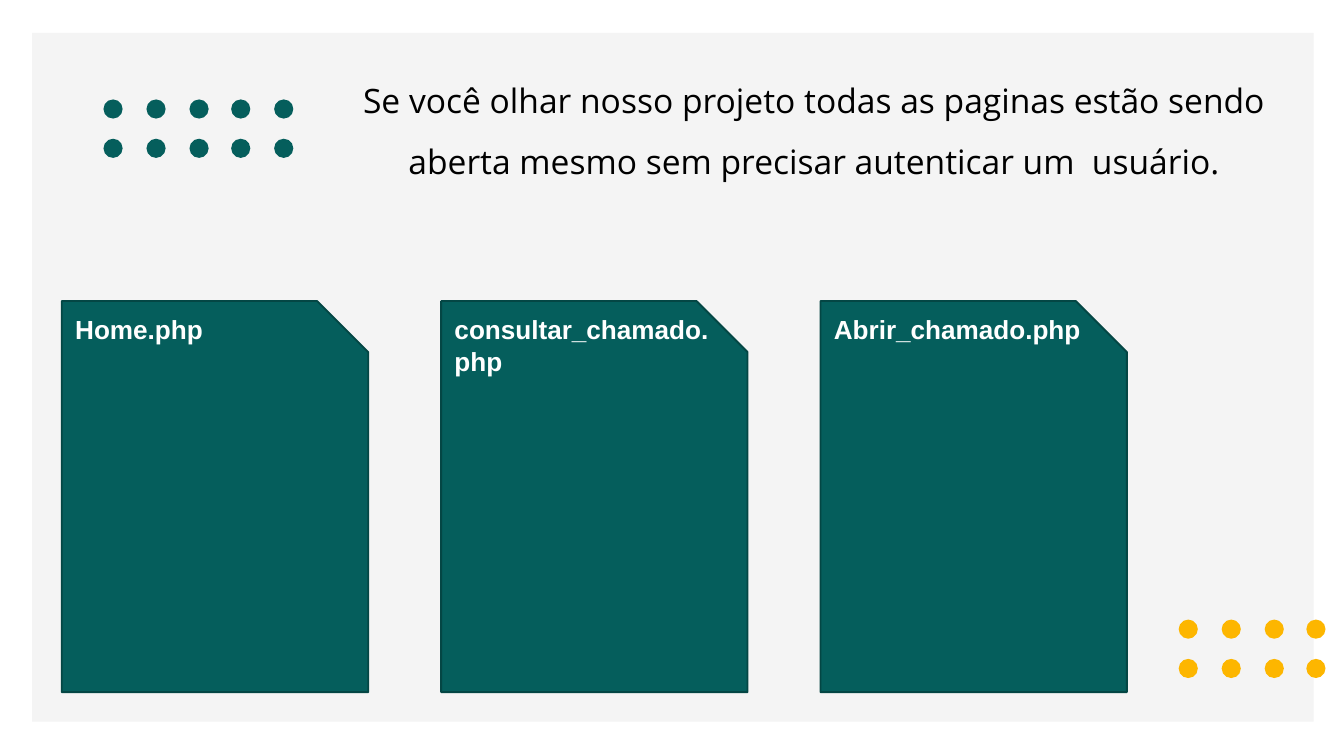
"""Builds the slide listing the PHP pages that open without authentication."""
from pptx import Presentation
from pptx.dml.color import RGBColor
from pptx.enum.shapes import MSO_SHAPE
from pptx.enum.text import PP_ALIGN
from pptx.util import Inches, Pt

RECTANGLE = MSO_SHAPE.RECTANGLE
OVAL = MSO_SHAPE.OVAL
SNIPPED = MSO_SHAPE.SNIP_1_RECTANGLE
LEFT, CENTER = PP_ALIGN.LEFT, PP_ALIGN.CENTER

MESSAGE = ("Se você olhar nosso projeto todas as paginas estão sendo aberta "
           "mesmo sem precisar autenticar um  usuário.")
PAGES = [["Home.php"], ["consultar_chamado.", "php"], ["Abrir_chamado.php"]]
COLORS = {"panel": "F4F4F4", "teal": "055E5C", "edge": "044644",
          "amber": "FDB600", "black": "000000", "white": "FFFFFF"}

SLIDE_W, SLIDE_H = 20, 11.25
PANEL = (0.48, 0.49, 19.07, 10.25)
MESSAGE_BOX = (4.68, 0.89, 14.87, 1.82)
CARD_LEFT, CARD_TOP, CARD_W, CARD_H = 0.92, 4.48, 4.56, 5.82
CARD_PITCH = 5.645
LABEL_DX, LABEL_DY, LABEL_W = 0.1, 0.14, 4.49
LABEL_LINE, LABEL_PADDING = 0.47, 0.1
DOT_SIZE = 0.285
DOT_COLUMNS = (0, 0.64, 1.28, 1.9, 2.54)
DOT_ROWS = (0, 0.585)
DOT_GRIDS = [(1.54, 1.48, 5, "teal"), (17.54, 9.22, 4, "amber")]


def color(name):
    return RGBColor.from_string(COLORS[name])


def add_block(parent, kind, box, fill, edge=None):
    block = parent.shapes.add_shape(kind, *map(Inches, box))
    block.shadow.inherit = False
    block.fill.solid()
    block.fill.fore_color.rgb = color(fill)
    if edge:
        block.line.color.rgb = color(edge)
        block.line.width = Pt(2)
    else:
        block.line.fill.background()


def add_text(parent, box, lines, font, size, ink, bold=False, align=LEFT,
             spacing=None, inset=None):
    frame = parent.shapes.add_textbox(*map(Inches, box)).text_frame
    frame.word_wrap = True
    if inset is not None:
        frame.margin_left = frame.margin_right = Inches(inset)
        frame.margin_top = frame.margin_bottom = Inches(inset)
    for index, line in enumerate(lines):
        paragraph = frame.add_paragraph() if index else frame.paragraphs[0]
        paragraph.alignment = align
        if spacing:
            paragraph.line_spacing = spacing
        run = paragraph.add_run()
        run.text = line
        run.font.name = font
        run.font.size = Pt(size)
        run.font.bold = bold
        run.font.color.rgb = color(ink)


def add_dots(slide, left, top, columns, fill):
    dots = slide.shapes.add_group_shape()
    for dy in DOT_ROWS:
        for dx in DOT_COLUMNS[:columns]:
            add_block(dots, OVAL, (left + dx, top + dy, DOT_SIZE, DOT_SIZE), fill)


def add_page_card(slide, column, lines):
    left = CARD_LEFT + column * CARD_PITCH
    card = slide.shapes.add_group_shape()
    add_block(card, SNIPPED, (left, CARD_TOP, CARD_W, CARD_H), "teal", "edge")
    label_height = LABEL_PADDING + LABEL_LINE * len(lines)
    label = (left + LABEL_DX, CARD_TOP + LABEL_DY, LABEL_W, label_height)
    add_text(card, label, lines, "Arial", 28, "white", bold=True)


def main():
    deck = Presentation()
    deck.slide_width, deck.slide_height = Inches(SLIDE_W), Inches(SLIDE_H)
    slide = deck.slides.add_slide(deck.slide_layouts[6])
    add_block(slide, RECTANGLE, PANEL, "panel")
    for grid in DOT_GRIDS:
        add_dots(slide, *grid)
    add_text(slide, MESSAGE_BOX, [MESSAGE], "Open Sans", 36, "black",
             align=CENTER, spacing=1.5, inset=0)
    for column, lines in enumerate(PAGES):
        add_page_card(slide, column, lines)
    deck.save("out.pptx")


if __name__ == "__main__":
    main()
